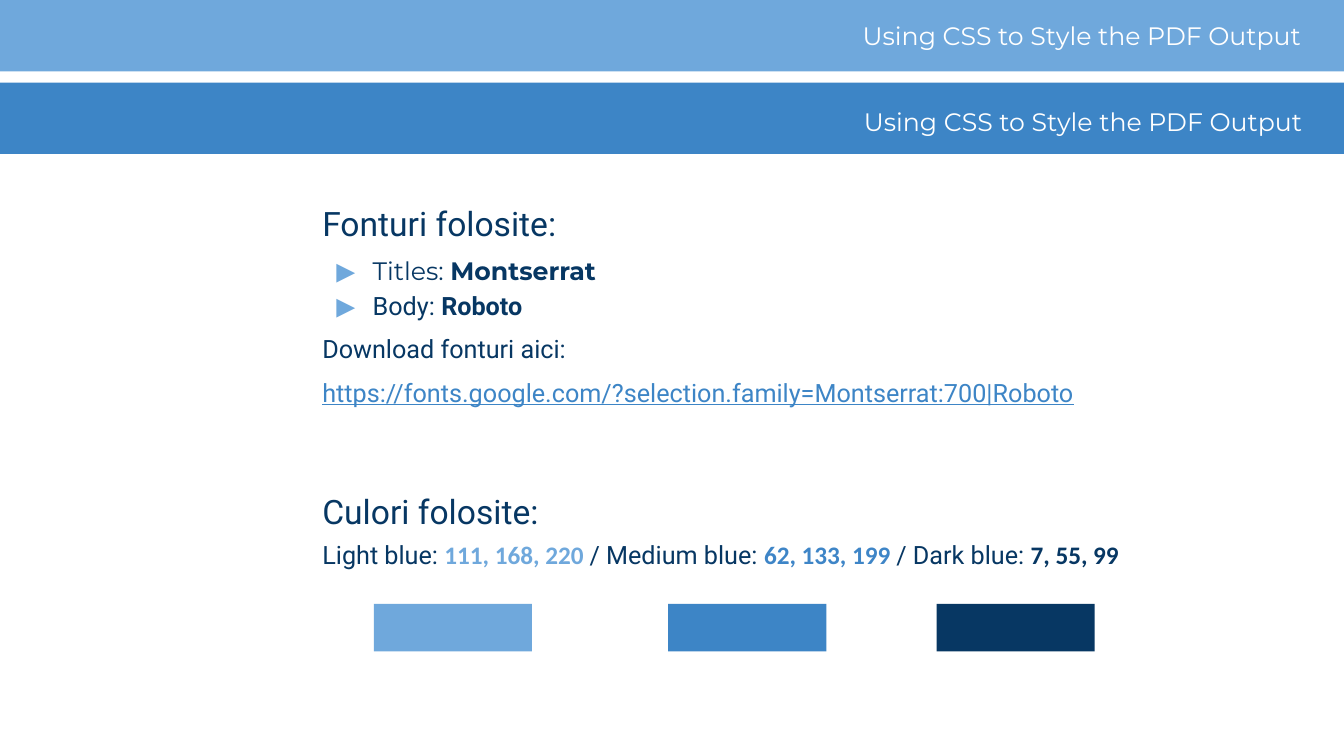
from dataclasses import dataclass

import lxml.etree
import pptx
import pptx.dml.color
import pptx.enum.shapes
import pptx.enum.text
import pptx.oxml.ns
import pptx.util

Pt = pptx.util.Pt

COLORS = {
    "white": "FFFFFF",
    "light": "6FA8DC",
    "medium": "3D85C6",
    "medium_label": "3E85C7",
    "dark": "073763",
}
TITLE = "Using CSS to Style the PDF Output"
SLIDE_W, SLIDE_H = 960, 540
BAND_H = 51
SWATCH_TOP, SWATCH_W, SWATCH_H = 431.3, 113, 34


@dataclass
class Run:
    text: str
    font: str = "Roboto"
    size: float = 18
    color: str = "dark"
    bold: bool = False
    underline: bool = False


@dataclass
class Para:
    runs: list[Run]
    before: float = 6
    spacing: float = 1.0
    bullet: bool = False


@dataclass
class Block:
    left: float
    top: float
    width: float
    height: float
    color: str


BANDS = [
    Block(0, 0, SLIDE_W, BAND_H, "light"),
    Block(0, 59, SLIDE_W, BAND_H, "medium"),
]
SWATCHES = [
    Block(left, SWATCH_TOP, SWATCH_W, SWATCH_H, color)
    for left, color in ((267, "light"), (477.3, "medium"), (669, "dark"))
]
TITLE_TEXT = [Para([Run(TITLE, "Montserrat", color="white")], 0, 0.9)]
FONTS_TEXT = [
    Para([Run("Fonturi folosite:", size=24)], 0),
    Para([Run("Titles: ", "Montserrat"), Run("Montserrat", "Montserrat", bold=True)],
         spacing=1.15, bullet=True),
    Para([Run("Body: "), Run("Roboto", bold=True)], 0, 1.15, True),
    Para([Run("Download fonturi aici:")], spacing=1.15),
    Para([Run("https://fonts.google.com/?selection.family=Montserrat:700|Roboto",
              color="medium", underline=True)], spacing=1.15),
]
COLORS_TEXT = [
    Para([Run("Culori folosite:", size=24)], 0),
    Para([
        Run("Light blue: "),
        Run("111, 168, 220 ", "Calibri", color="light", bold=True),
        Run("/ Medium blue: "),
        Run("62, 133, 199 ", "Calibri", color="medium_label", bold=True),
        Run("/ Dark blue: "),
        Run("7, 55, 99", "Calibri", bold=True),
    ]),
]


def rgb(name: str) -> pptx.dml.color.RGBColor:
    return pptx.dml.color.RGBColor.from_string(COLORS[name])


def set_bullet(p, shown: bool) -> None:
    """Give the paragraph a triangle bullet, or clear the inherited one."""
    pPr = p._p.get_or_add_pPr()
    pPr.set("marL", str(Pt(36) if shown else 0))
    pPr.set("indent", str(Pt(-26) if shown else 0))

    def add(parent, tag: str, **attrs: str):
        return lxml.etree.SubElement(parent, pptx.oxml.ns.qn(tag), attrs)

    if shown:
        add(add(pPr, "a:buClr"), "a:srgbClr", val=COLORS["light"])
        add(pPr, "a:buSzPct", val="150000")
        add(pPr, "a:buFont", typeface="Roboto")
        add(pPr, "a:buChar", char="▸")
    else:
        add(pPr, "a:buNone")


def write(sp, paras: list[Para], middle: bool = False) -> None:
    anchor = pptx.enum.text.MSO_ANCHOR
    tf = sp.text_frame
    tf.word_wrap = True
    tf.auto_size = pptx.enum.text.MSO_AUTO_SIZE.NONE
    tf.vertical_anchor = anchor.MIDDLE if middle else anchor.TOP
    for i, para in enumerate(paras):
        p = tf.add_paragraph() if i else tf.paragraphs[0]
        set_bullet(p, para.bullet)
        p.alignment = pptx.enum.text.PP_ALIGN.LEFT
        p.line_spacing = para.spacing
        p.space_before = Pt(para.before)
        for run in para.runs:
            r = p.add_run()
            r.text = run.text
            r.font.name = run.font
            r.font.size = Pt(run.size)
            r.font.bold = run.bold
            r.font.underline = run.underline
            r.font.color.rgb = rgb(run.color)


def add_block(s, block: Block) -> None:
    sp = s.shapes.add_shape(
        pptx.enum.shapes.MSO_SHAPE.RECTANGLE,
        Pt(block.left), Pt(block.top), Pt(block.width), Pt(block.height))
    sp.shadow.inherit = False
    sp.fill.solid()
    sp.fill.fore_color.rgb = rgb(block.color)
    sp.line.fill.background()


def place(sp, left: float, top: float, width: float, height: float) -> None:
    sp.left, sp.top, sp.width, sp.height = Pt(left), Pt(top), Pt(width), Pt(height)


def main() -> None:
    prs = pptx.Presentation()
    prs.slide_width, prs.slide_height = Pt(SLIDE_W), Pt(SLIDE_H)
    s = prs.slides.add_slide(prs.slide_layouts[1])
    title, body = s.shapes.title, s.placeholders[1]

    for block in BANDS + SWATCHES:
        add_block(s, block)

    # Bring the placeholders in front of the bands
    for sp in (title, body):
        s.shapes.element.append(sp.element)
    place(title, 609, 5.8, 333.5, 41)
    write(title, TITLE_TEXT, middle=True)
    place(body, 223, 141, 574.5, 155)
    write(body, FONTS_TEXT)

    subtitle = s.shapes.add_textbox(Pt(610), Pt(67.5), Pt(357), Pt(41))
    write(subtitle, TITLE_TEXT, middle=True)
    palette = s.shapes.add_textbox(Pt(223.2), Pt(347), Pt(665), Pt(92))
    write(palette, COLORS_TEXT)

    prs.save("out.pptx")


if __name__ == "__main__":
    main()
